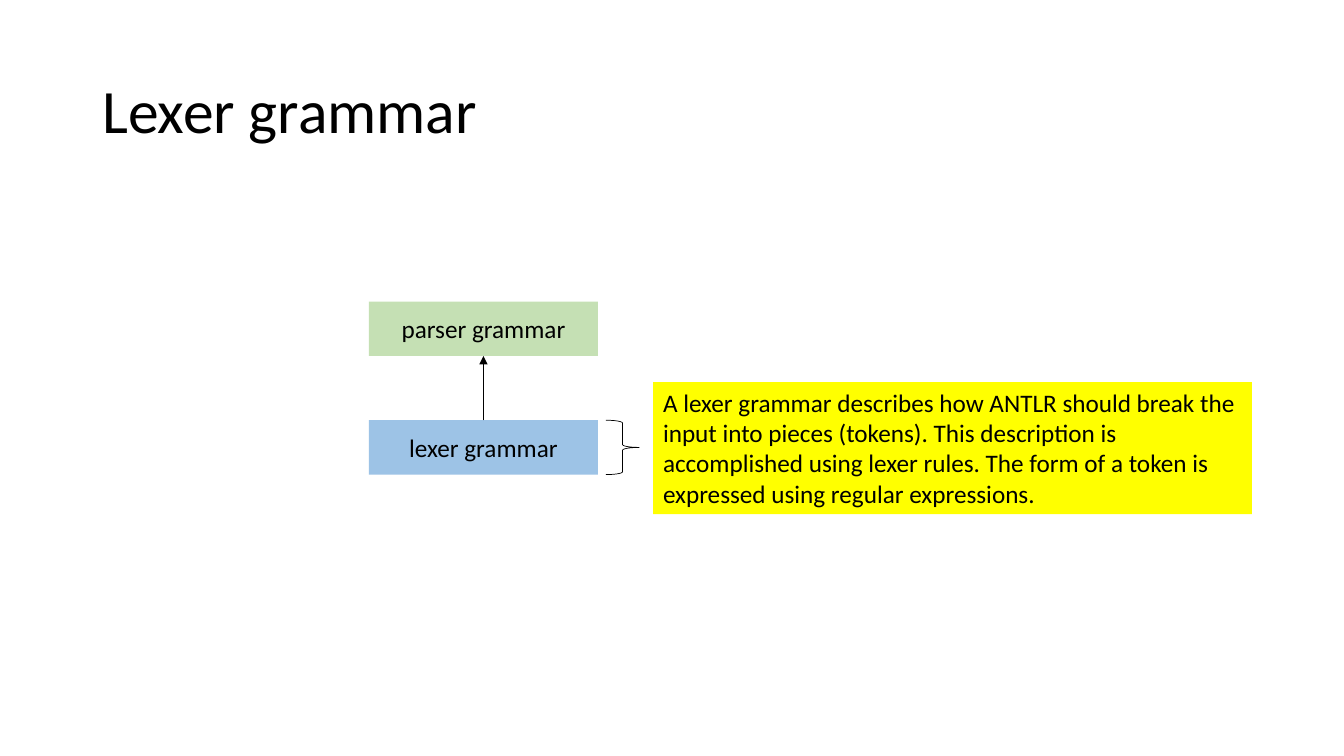
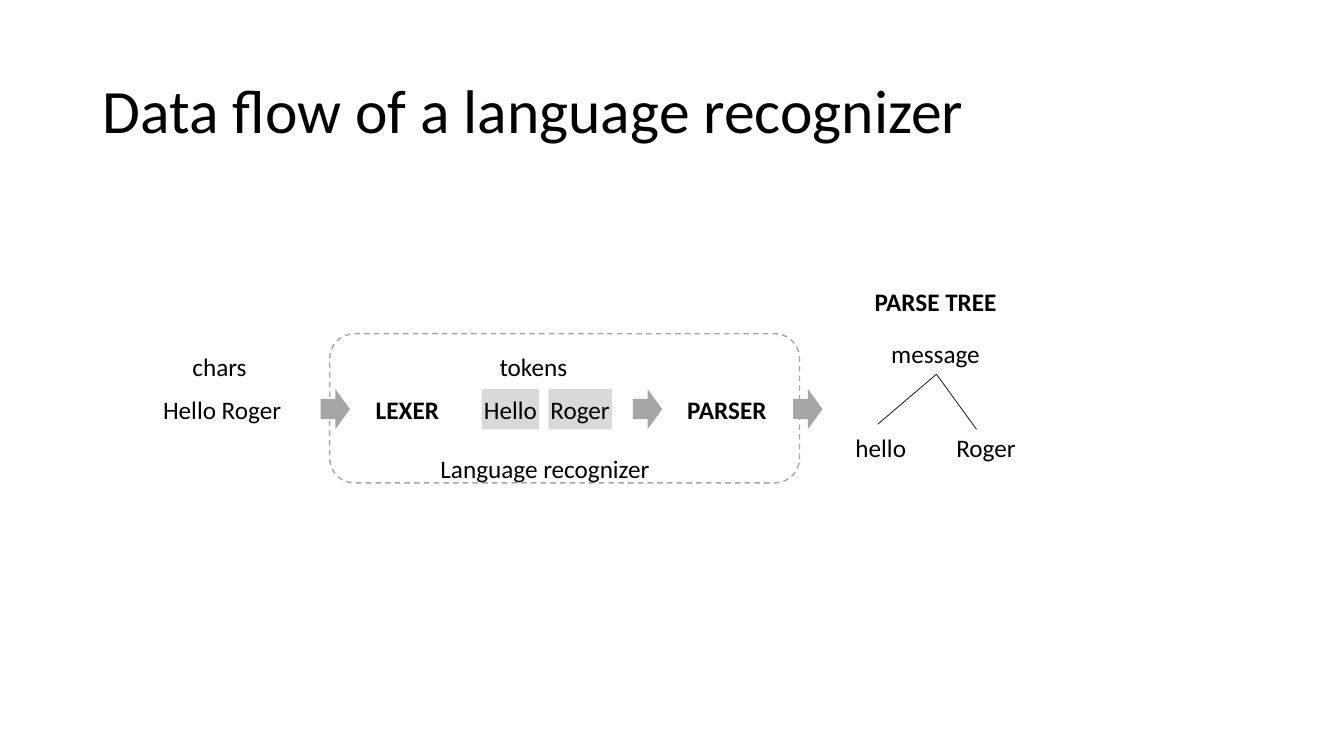
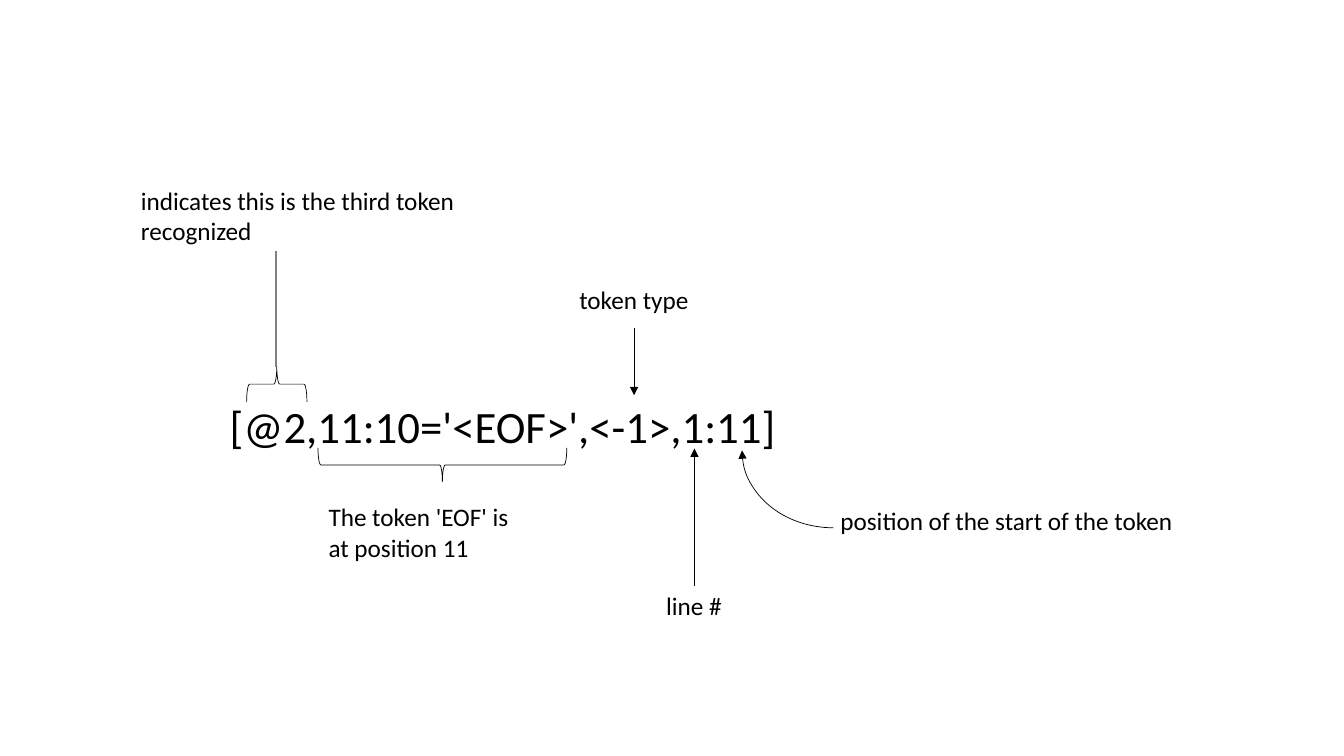
from lxml.etree import SubElement
from pptx import Presentation
from pptx.dml.color import RGBColor
from pptx.enum.dml import MSO_LINE
from pptx.enum.shapes import MSO_CONNECTOR, MSO_SHAPE
from pptx.enum.text import MSO_ANCHOR, PP_ALIGN
from pptx.oxml.ns import qn
from pptx.util import Cm, Pt

BLACK, GRAY, MIDGRAY, PALE = "000000", "A6A6A6", "808080", "D9D9D9"
BLUE, GREEN, YELLOW = "9DC3E6", "C5E0B4", "FFFF00"
ROW = 1.02          # height of one line of body text
TOP, BOTTOM = 0, 2  # connection sites


def color(value):
    return RGBColor.from_string(value)


class Slides:
    """Holds the deck, its style and the current page."""

    FONT = {"name": "Calibri", "size": Pt(18), "bold": False}
    CENTERED = {"vertical_anchor": MSO_ANCHOR.MIDDLE}
    TIGHT = {"margin_left": 0, "margin_right": 0}

    def __init__(self):
        self.deck = Presentation()
        self.deck.slide_width, self.deck.slide_height = Cm(33.87), Cm(19.05)
        self.page = None

    def new_page(self, title=None):
        self.page = self.deck.slides.add_slide(self.deck.slide_layouts[6])
        if title:
            box = self.label(title, 2.33, 1.01, 29.21, 3.68, wrap=True, size=Pt(44))
            box.text_frame.vertical_anchor = MSO_ANCHOR.MIDDLE
            box.text_frame.paragraphs[0].line_spacing = 0.9

    def add_text(self, box, text, align=PP_ALIGN.LEFT, frame=None, **font):
        for name, value in (frame or {}).items():
            setattr(box.text_frame, name, value)
        para = box.text_frame.paragraphs[0]
        para.alignment = align
        span = para.add_run()
        span.text = text
        for name, value in {**self.FONT, **font}.items():
            setattr(span.font, name, value)
        span.font.color.rgb = color(BLACK)

    def label(self, text, left, top, width, height=ROW, wrap=False, **font):
        box = self.page.shapes.add_textbox(Cm(left), Cm(top), Cm(width), Cm(height))
        self.add_text(box, text, frame={"word_wrap": wrap}, **font)
        return box

    def shape(self, kind, left, top, width, height, fill=None, line=None,
              weight=0.5, rotation=0):
        shape = self.page.shapes.add_shape(
            kind, Cm(left), Cm(top), Cm(width), Cm(height))
        shape.shadow.inherit = False
        shape.rotation = rotation
        if fill:
            shape.fill.solid()
            shape.fill.fore_color.rgb = color(fill)
        else:
            shape.fill.background()
        if line:
            shape.line.color.rgb = color(line)
            shape.line.width = Pt(weight)
        else:
            shape.line.fill.background()
        return shape

    def block(self, text, left, top, width, height, fill, frame=None):
        box = self.shape(MSO_SHAPE.RECTANGLE, left, top, width, height, fill)
        self.add_text(box, text, PP_ALIGN.CENTER, {**self.CENTERED, **(frame or {})})
        return box

    def note(self, text, left, top, width, height):
        box = self.shape(MSO_SHAPE.RECTANGLE, left, top, width, height, YELLOW)
        self.add_text(box, text, frame={"vertical_anchor": MSO_ANCHOR.TOP})

    def arrowhead(self, shape):
        SubElement(shape.get_or_add_ln(), qn("a:tailEnd"), type="triangle")

    def line(self, start, stop, begin=None, end=None, arrow=False,
             stroke=BLACK, weight=0.5):
        """Draw from start to stop; begin and end are (shape, site) joins."""
        link = self.page.shapes.add_connector(
            MSO_CONNECTOR.STRAIGHT, *(Cm(value) for value in (*start, *stop)))
        if begin:
            link.begin_connect(*begin)
        if end:
            link.end_connect(*end)
        link.line.color.rgb = color(stroke)
        link.line.width = Pt(weight)
        if arrow:
            self.arrowhead(link)
        SubElement(link._element.spPr, qn("a:effectLst"))

    def arc(self, left, top, width, height, start, stop):
        """Draw a clockwise arc between two angles in degrees, with an arrow."""
        arc = self.shape(MSO_SHAPE.ARC, left, top, width, height, line=BLACK)
        for index, angle in enumerate((start, stop)):
            arc.adjustments[index] = angle * 0.6
        self.arrowhead(arc)


def lexer_grammar(slides):
    slides.new_page("Lexer grammar")
    left, width, height, lexer_top, parser_top = 9.3, 5.77, 1.37, 10.59, 7.6
    lexer = slides.block("lexer grammar", left, lexer_top, width, height, BLUE)
    parser = slides.block("parser grammar", left, parser_top, width, height, GREEN)
    middle = left + width / 2
    slides.line((middle, lexer_top), (middle, parser_top + height),
                begin=(lexer, TOP), end=(parser, BOTTOM), arrow=True)
    slides.shape(MSO_SHAPE.RIGHT_BRACE, 15.27, lexer_top, 0.84, height, line=BLACK)
    slides.note("A lexer grammar describes how ANTLR should break the input into "
                "pieces (tokens). This description is accomplished using lexer "
                "rules. The form of a token is expressed using regular expressions.",
                16.46, 9.63, 15.09, 3.33)


def data_flow(slides):
    slides.new_page("Data flow of a language recognizer")
    flow, heading, leaves = 9.8, 8.74, 10.77

    # Tokens and stages
    for text, left, width in (("Hello", 12.14, 1.45), ("Roger", 13.82, 1.6)):
        slides.block(text, left, flow, width, ROW, PALE, slides.TIGHT)
    for text, left, top, width, bold in (
            ("chars", 4.6, heading, 1.88, False),
            ("Hello Roger", 3.86, flow, 3.53, False),
            ("LEXER", 9.22, flow, 2.11, True),
            ("tokens", 12.34, heading, 2.24, False),
            ("PARSER", 17.07, flow, 2.54, True)):
        slides.label(text, left, top, width, bold=bold)
    for left in (8.08, 15.95, 19.99):
        slides.shape(MSO_SHAPE.RIGHT_ARROW, left, flow, 0.74, ROW, GRAY)

    # Parse tree
    root = slides.label("message", 22.21, 8.41, 2.78)
    slides.label("hello", 21.31, leaves, 1.78)
    slides.label("Roger", 23.85, leaves, 2)
    for leaf in ((22.12, 10.69), (24.61, 10.82)):
        slides.line((23.6, 9.43), leaf, begin=(root, BOTTOM))
    slides.label("PARSE TREE", 21.79, 7.09, 3.61, bold=True)

    # Recognizer frame
    frame = slides.shape(MSO_SHAPE.ROUNDED_RECTANGLE, 8.31, 8.41, 11.84, 3.76,
                         line=GRAY, weight=1)
    frame.line.dash_style = MSO_LINE.DASH
    slides.label("Language recognizer", 10.85, 11.3, 5.84)


def token_anatomy(slides):
    slides.new_page()
    slides.label("[@2,11:10='<EOF>',<-1>,1:11]", 5.54, 9.91, 14.45, 1.63,
                 size=Pt(32))

    # Token index
    slides.label("indicates this is the third token recognized",
                 3.3, 4.55, 9.4, 1.8, wrap=True)
    slides.shape(MSO_SHAPE.LEFT_BRACE, 6.53, 8.92, 0.89, 1.52,
                 line=BLACK, rotation=90)
    slides.line((6.96, 9.25), (6.96, 6.32), stroke=MIDGRAY, weight=1.5)

    # Token text
    slides.shape(MSO_SHAPE.LEFT_BRACE, 10.72, 8.58, 0.86, 6.27,
                 line=BLACK, rotation=270)
    slides.label("The token 'EOF' is at position 11", 8.03, 12.52, 5.51, 1.8,
                 wrap=True)

    # Token type, line number and start position
    slides.label("token type", 14.35, 7.04, 3.3)
    slides.line((15.98, 8.26), (15.98, 9.96), arrow=True)
    number = slides.label("line #", 16.54, 14.76, 1.92)
    slides.line((17.5, 14.76), (17.5, 11.3), begin=(number, TOP), arrow=True)
    slides.arc(18.7, 9.4, 4.6, 3.9, 90, 180)
    slides.label("position of the start of the token", 20.93, 12.6, 8.99)


def main():
    slides = Slides()
    for build in (lexer_grammar, data_flow, token_anatomy):
        build(slides)
    slides.deck.save("out.pptx")


if __name__ == "__main__":
    main()
